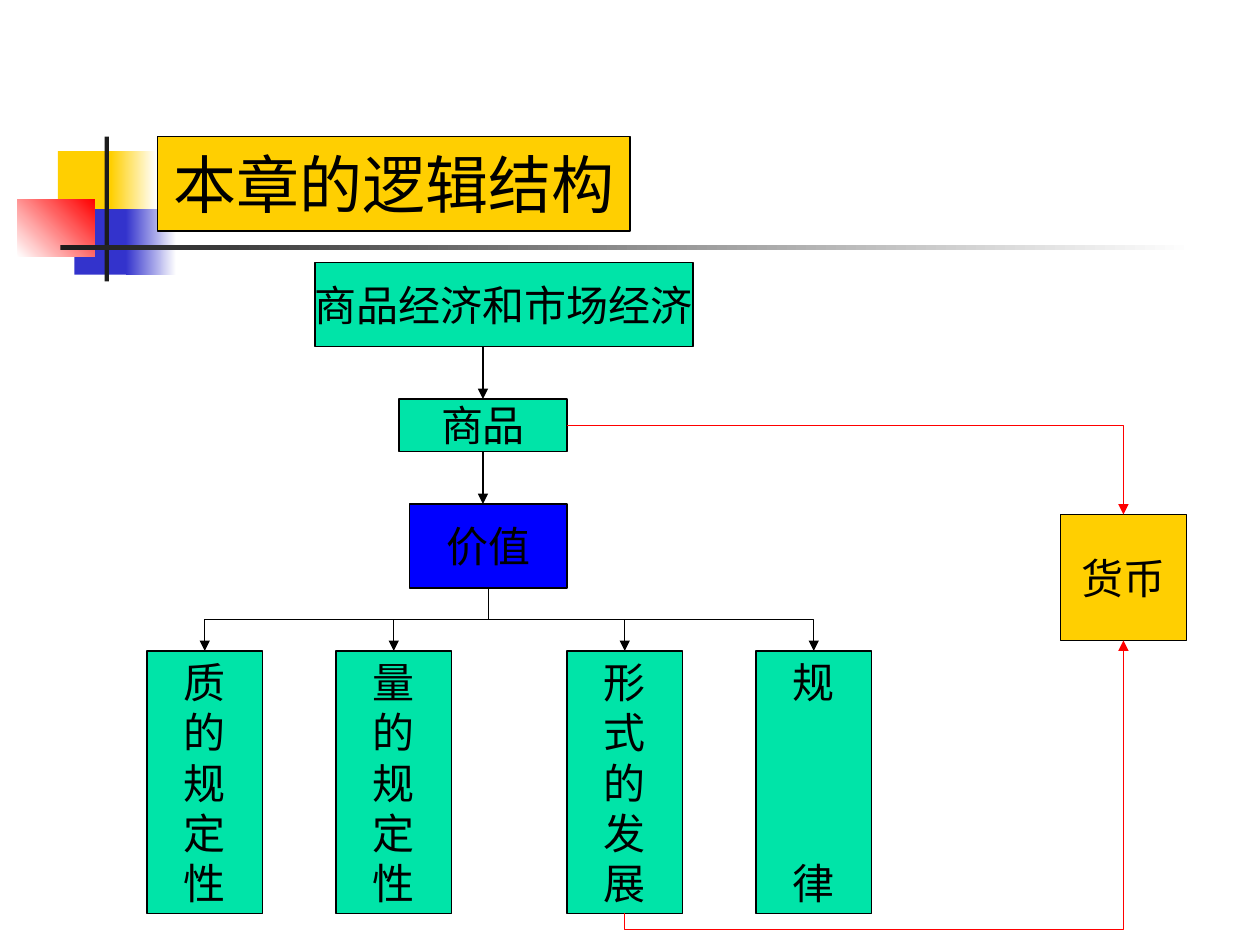
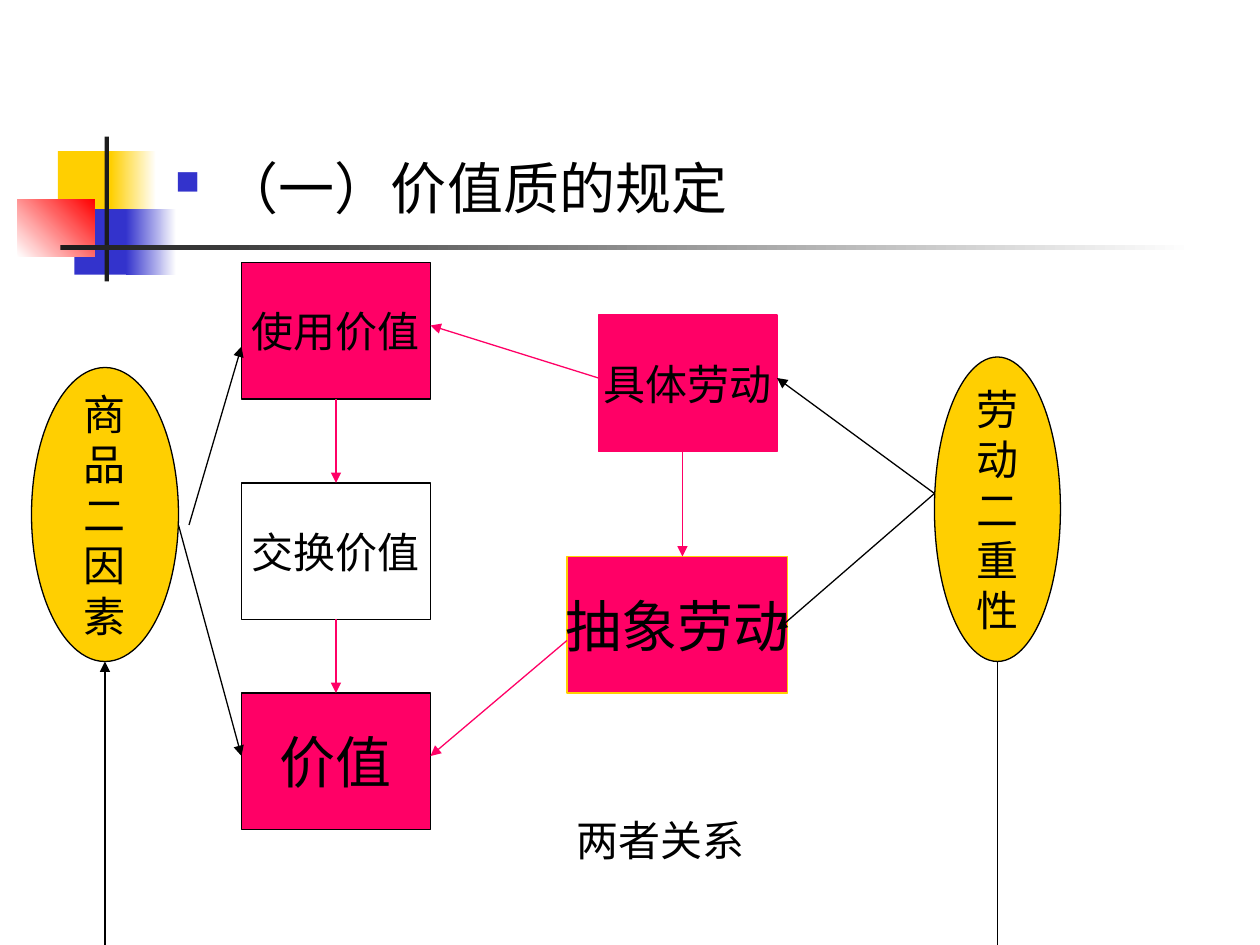
from dataclasses import dataclass

from lxml import etree
from pptx import Presentation, util as u
from pptx.dml.color import RGBColor
from pptx.enum import shapes, text
from pptx.oxml import ns

CELL = u.Inches(1) // 12  # the slide is 120 columns by 90 rows
COLUMNS, ROWS = 120, 90
TOP, BOTTOM, RIGHT = 0, 2, 3  # connection sites of a rectangle


@dataclass(frozen=True)
class Theme:
    black: str = "000000"
    white: str = "FFFFFF"
    ink: str = "1C1C1C"
    gold: str = "FFCF01"
    indigo: str = "3333CC"
    blue: str = "0000FF"
    red: str = "FF0000"
    mint: str = "00E4A8"
    pink: str = "FF0066"
    shape_font: str = "Karla"
    body_font: str = "Noto Sans CJK SC"
    title: int = 36
    large: int = 32
    normal: int = 24
    line: float = 0.75


THEME = Theme()
RECTANGLE = shapes.MSO_SHAPE.RECTANGLE
OVAL = shapes.MSO_SHAPE.OVAL


def cells(*values):
    return [round(value * CELL) for value in values]


def rgb(colour):
    return RGBColor.from_string(colour)


def add_child(parent, tag, **attributes):
    return etree.SubElement(parent, ns.qn(tag), attributes)


def add_run(paragraph, words, size, font):
    run = paragraph.add_run()
    run.text = words
    run.font.size = u.Pt(size)
    run.font.name = font
    run.font.color.rgb = rgb(THEME.black)
    add_child(run.font._element, "a:ea", typeface=font)


def add_shape(slide, place, fill, line=None, kind=RECTANGLE, angle=0):
    """Draw a preset shape; a pair of colours as fill makes a gradient."""
    shape = slide.shapes.add_shape(kind, *cells(*place))
    shape.shadow.inherit = False
    if fill is None:
        shape.fill.background()
    elif isinstance(fill, tuple):
        shape.fill.gradient()
        shape.fill.gradient_angle = angle
        for stop, colour in zip(shape.fill.gradient_stops, fill):
            stop.color.rgb = rgb(colour)
    else:
        shape.fill.solid()
        shape.fill.fore_color.rgb = rgb(fill)
    if line:
        shape.line.color.rgb = rgb(line)
        shape.line.width = u.Pt(THEME.line)
    else:
        shape.line.fill.background()
    return shape


def add_node(slide, lines, place, fill, size=THEME.normal, line=THEME.black,
             kind=RECTANGLE, gap=0):
    """Draw a shape with one centred paragraph per line, gap points apart."""
    shape = add_shape(slide, place, fill, line, kind)
    frame = shape.text_frame
    frame.word_wrap = False
    frame.vertical_anchor = text.MSO_ANCHOR.MIDDLE
    for index, words in enumerate(lines):
        paragraph = frame.add_paragraph() if index else frame.paragraphs[0]
        paragraph.alignment = text.PP_ALIGN.CENTER
        if index and gap:
            paragraph.space_before = u.Pt(gap)
        add_run(paragraph, words, size, THEME.shape_font)
    return shape


def add_text(slide, place, words, size, font, wrap):
    box = slide.shapes.add_textbox(*cells(*place))
    box.text_frame.word_wrap = wrap
    paragraph = box.text_frame.paragraphs[0]
    add_run(paragraph, words, size, font)
    return paragraph


def add_bullet(paragraph):
    properties = paragraph._p.get_or_add_pPr()
    indent = u.Inches(0.38)
    properties.set("marL", str(indent))
    properties.set("indent", str(-indent))
    colour = add_child(properties, "a:buClr")
    add_child(colour, "a:srgbClr", val=THEME.indigo)
    add_child(properties, "a:buSzPct", val="60000")
    add_child(properties, "a:buChar", char="■")


def style_connector(connector, colour, head=True):
    connector.line.color.rgb = rgb(colour)
    connector.line.width = u.Pt(THEME.line)
    if head:
        add_child(connector.line._get_or_add_ln(), "a:tailEnd", type="triangle")
    add_child(connector._element.spPr, "a:effectLst")


def add_arrow(slide, start, end, colour=THEME.black, head=True):
    connector = slide.shapes.add_connector(
        shapes.MSO_CONNECTOR.STRAIGHT, *cells(*start, *end))
    style_connector(connector, colour, head)


def add_elbow(slide, start, end, colour):
    """Join two (shape, site) pairs with a bent arrow."""
    connector = slide.shapes.add_connector(shapes.MSO_CONNECTOR.ELBOW, 0, 0, 0, 0)
    connector.begin_connect(*start)
    connector.end_connect(*end)
    style_connector(connector, colour)
    return connector


def leave_vertically(connector, bend=0.5):
    """Turn a bent arrow by 90 degrees, bending at a share of its height."""
    across = connector.end_x - connector.begin_x
    down = connector.end_y - connector.begin_y
    middle_x = (connector.begin_x + connector.end_x) // 2
    middle_y = (connector.begin_y + connector.end_y) // 2
    connector.width, connector.height = abs(down), abs(across)
    connector.left = middle_x - abs(down) // 2
    connector.top = middle_y - abs(across) // 2
    frame = connector._element.spPr.xfrm
    frame.set("rot", "5400000")
    frame.set("flipH", str(int(down < 0)))
    frame.set("flipV", str(int(across > 0)))
    adjustments = connector._element.spPr.find(ns.qn("a:prstGeom")).find(ns.qn("a:avLst"))
    add_child(adjustments, "a:gd", name="adj1", fmla=f"val {round(bend * 100000)}")


def add_decorated_slide(presentation):
    slide = presentation.slides.add_slide(presentation.slide_layouts[6])
    for place, fill, angle in (
        ((5.52, 14.4, 5.76, 6.24), THEME.gold, 0),
        ((10.56, 14.4, 4.32, 6.24), (THEME.gold, THEME.white), 0),
        ((7.08, 19.92, 5.52, 6.24), THEME.indigo, 0),
        ((12, 19.92, 4.8, 6.24), (THEME.indigo, THEME.white), 0),
        ((1.68, 18.96, 7.32, 5.52), (THEME.white, THEME.red), 45),
        ((9.96, 13, 0.42, 13.8), THEME.ink, 0),
        ((5.76, 23.35, 108, 0.42), (THEME.ink, THEME.white), 0),
    ):
        add_shape(slide, place, fill, angle=angle)
    return slide


def build_structure_slide(presentation):
    slide = add_decorated_slide(presentation)
    add_node(slide, ["本章的逻辑结构"], (15, 13, 45, 9), THEME.gold, THEME.title)
    add_node(slide, ["商品经济和市场经济"], (30, 25, 36, 8), THEME.mint)
    goods = add_node(slide, ["商品"], (38, 38, 16, 5), THEME.mint)
    for row in (33, 43):
        add_arrow(slide, (46, row), (46, row + 5))
    value = add_node(slide, ["价值"], (39, 48, 15, 8), THEME.blue)
    aspects = {}
    for column, name, gap in ((14, "质的规定性", 0), (32, "量的规定性", 0),
                              (54, "形式的发展", 0), (72, "规律", 86)):
        aspects[name] = add_node(slide, name, (column, 62, 11, 25), THEME.mint, gap=gap)
    for aspect in aspects.values():
        leave_vertically(add_elbow(slide, (value, BOTTOM), (aspect, TOP), THEME.black))
    money = add_node(slide, ["货币"], (101, 49, 12, 12), THEME.gold)
    corner = add_elbow(slide, (goods, RIGHT), (money, TOP), THEME.red)
    corner._element.spPr.find(ns.qn("a:prstGeom")).set("prst", "bentConnector2")
    form = aspects["形式的发展"]
    leave_vertically(add_elbow(slide, (form, BOTTOM), (money, BOTTOM), THEME.red), -0.06)


def build_value_slide(presentation):
    slide = add_decorated_slide(presentation)
    heading = add_text(slide, (15.5, 14, 102, 66.5), "（一）价值质的规定",
                       THEME.large, THEME.body_font, True)
    heading.alignment = text.PP_ALIGN.JUSTIFY
    add_bullet(heading)

    for name, place, fill, size, line in (
        ("使用价值", (23, 25, 18, 13), THEME.pink, THEME.normal, THEME.black),
        ("交换价值", (23, 46, 18, 13), None, THEME.normal, THEME.black),
        ("价值", (23, 66, 18, 13), THEME.pink, THEME.large, THEME.black),
        ("具体劳动", (57, 30, 17, 13), THEME.pink, THEME.normal, THEME.pink),
        ("抽象劳动", (54, 53, 21, 13), THEME.pink, THEME.large, THEME.gold),
    ):
        add_node(slide, [name], place, fill, size, line)
    for name, place in (("商品二因素", (3, 35, 14, 28)),
                        ("劳动二重性", (89, 34, 12, 29))):
        add_node(slide, name, place, THEME.gold, kind=OVAL)

    for start, end in (((32, 38), (32, 46)), ((32, 59), (32, 66)),
                       ((65, 43), (65, 53)), ((57, 36), (41, 31)),
                       ((54, 61), (41, 72))):
        add_arrow(slide, start, end, THEME.pink)
    for start, end in (((18, 50), (23, 33)), ((17, 50), (23, 72)),
                       ((89, 47), (74, 36)), ((89, 47), (74, 60)),
                       ((10, ROWS), (10, 63))):
        add_arrow(slide, start, end)
    add_arrow(slide, (95, 63), (95, ROWS), head=False)
    add_text(slide, (53.75, 77, 18.4, 6), "两者关系",
             THEME.normal, THEME.shape_font, False)


def main():
    presentation = Presentation()
    presentation.slide_width, presentation.slide_height = cells(COLUMNS, ROWS)
    build_structure_slide(presentation)
    build_value_slide(presentation)
    presentation.save("out.pptx")


if __name__ == "__main__":
    main()
